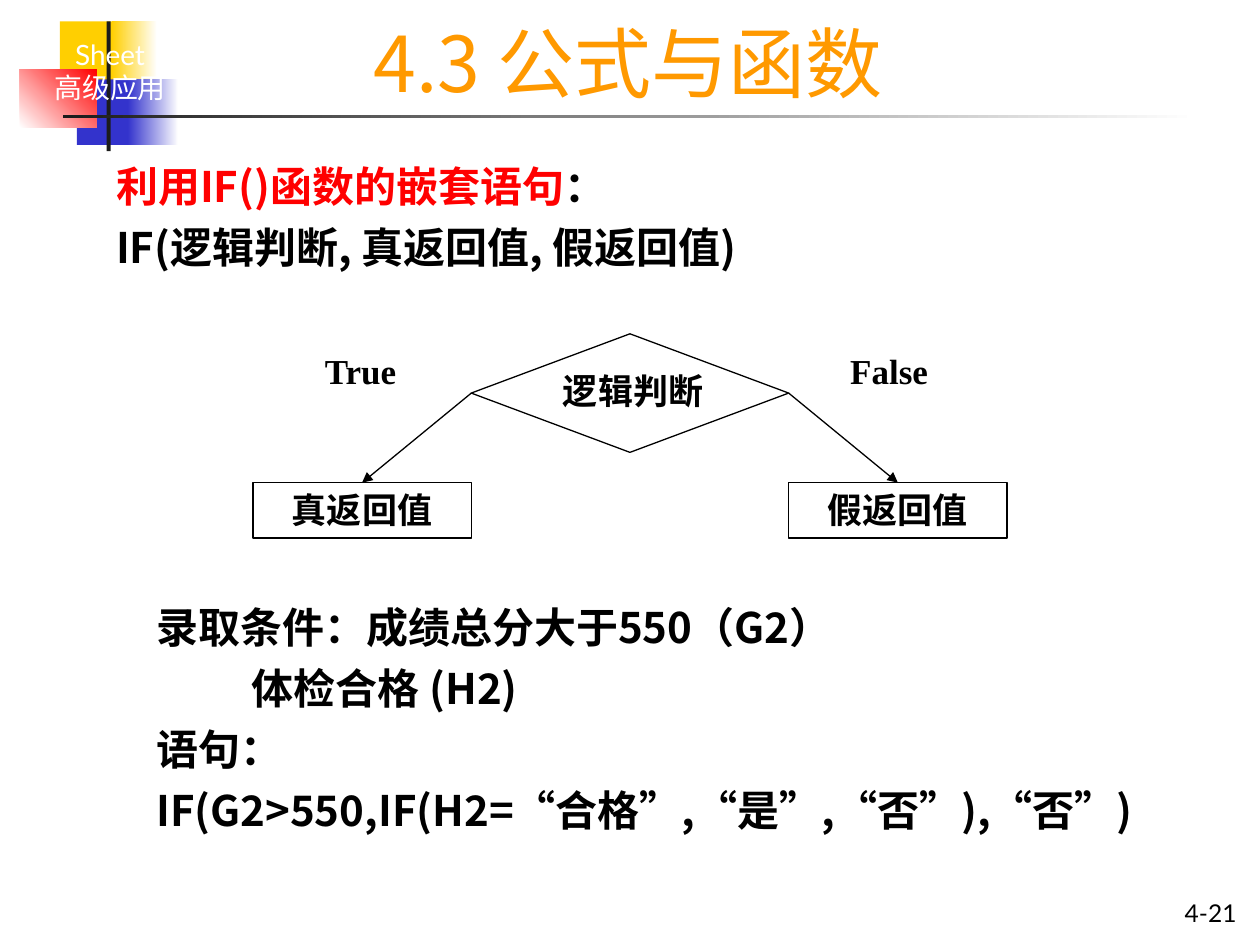
from lxml.etree import SubElement
from pptx import Presentation
from pptx.dml.color import RGBColor
from pptx.enum.shapes import MSO_CONNECTOR, MSO_SHAPE as Shape
from pptx.enum.text import MSO_ANCHOR as Anchor, MSO_AUTO_SIZE as AutoSize, PP_ALIGN as Align
from pptx.oxml.ns import qn
from pptx.util import Cm, Pt

BLACK = RGBColor(0x00, 0x00, 0x00)
WHITE = RGBColor(0xFF, 0xFF, 0xFF)
RED = RGBColor(0xFF, 0x00, 0x00)
YELLOW = RGBColor(0xFF, 0xCF, 0x01)
BLUE = RGBColor(0x33, 0x33, 0xCC)
ORANGE = RGBColor(0xFF, 0x99, 0x00)
CHARCOAL = RGBColor(0x1C, 0x1C, 0x1C)

LATIN = "Lato"
SERIF = "Times New Roman"
CHINESE = "Noto Sans CJK SC"

# Ornament bars: left, top, width, height (cm), start colour, end colour, angle
ORNAMENT = [
    (1.21, 0.43, 1.22, 1.32, YELLOW, None, 0),
    (2.25, 0.43, 0.92, 1.32, YELLOW, WHITE, 0),
    (1.55, 1.6, 1.17, 1.32, BLUE, None, 0),
    (2.58, 1.6, 1.02, 1.32, BLUE, WHITE, 0),
    (0.4, 1.4, 1.55, 1.17, WHITE, RED, 45),
    (2.15, 0.43, 0.08, 2.62, CHARCOAL, None, 0),
    (1.27, 2.31, 22.86, 0.08, CHARCOAL, WHITE, 0),
]


def write(shape, paragraphs, size=20, font=LATIN, color=BLACK, bold=False,
          align=Align.LEFT, anchor=Anchor.TOP, before=0, indents=()):
    """Fill a shape with paragraphs, each a string or a list of (text, colour) runs."""
    frame = shape.text_frame
    frame.word_wrap = True
    frame.auto_size = AutoSize.NONE
    frame.vertical_anchor = anchor
    for index, content in enumerate(paragraphs):
        paragraph = frame.paragraphs[0] if index == 0 else frame.add_paragraph()
        paragraph.alignment = align
        paragraph.space_before = Pt(before)
        if indents:
            paragraph._p.get_or_add_pPr().set("marL", str(Cm(indents[index])))
        runs = [(content, color)] if isinstance(content, str) else content
        for text, run_color in runs:
            run = paragraph.add_run()
            run.text = text
            run.font.size = Pt(size)
            run.font.name = font
            run.font.bold = bold
            run.font.color.rgb = run_color
            SubElement(run._r.get_or_add_rPr(), qn("a:ea")).set("typeface", CHINESE)


def add_text(slide, left, top, width, height, paragraphs, **text_format):
    box = slide.shapes.add_textbox(Cm(left), Cm(top), Cm(width), Cm(height))
    write(box, paragraphs, **text_format)


def add_bar(slide, left, top, width, height, start, end, angle):
    """Draw a borderless bar, plain or fading to the end colour."""
    bar = slide.shapes.add_shape(Shape.RECTANGLE, Cm(left), Cm(top), Cm(width), Cm(height))
    bar.shadow.inherit = False
    bar.line.fill.background()
    if end is None:
        bar.fill.solid()
        bar.fill.fore_color.rgb = start
        return
    bar.fill.gradient()
    bar.fill.gradient_angle = angle
    for stop, color in zip(bar.fill.gradient_stops, (start, end)):
        stop.color.rgb = color


def add_node(slide, kind, left, top, width, height):
    node = slide.shapes.add_shape(kind, Cm(left), Cm(top), Cm(width), Cm(height))
    node.shadow.inherit = False
    node.fill.background()
    node.line.color.rgb = BLACK
    node.line.width = Pt(0.75)
    return node


def add_arrow(slide, source, source_site, target):
    """Join a side of the source to the top of the target."""
    arrow = slide.shapes.add_connector(MSO_CONNECTOR.STRAIGHT, 0, 0, 0, 0)
    arrow.begin_connect(source, source_site)
    arrow.end_connect(target, 0)
    arrow.line.color.rgb = BLACK
    arrow.line.width = Pt(0.75)
    SubElement(arrow.line._get_or_add_ln(), qn("a:tailEnd")).set("type", "triangle")
    SubElement(arrow._element.spPr, qn("a:effectLst"))


def add_decision(slide):
    decision = add_node(slide, Shape.FLOWCHART_DECISION, 9.5, 6.73, 6.4, 2.39)
    add_text(slide, 11.1, 7.32, 3.81, 1.12, ["逻辑判断"], bold=True)
    branches = [
        (5.1, "真返回值", 1, 6.3, "True"),
        (15.9, "假返回值", 3, 16.89, "False"),
    ]
    for left, result, site, label_left, label in branches:
        box = add_node(slide, Shape.RECTANGLE, left, 9.73, 4.4, 1.12)
        write(box, [result], bold=True, align=Align.CENTER)
        add_arrow(slide, decision, site, box)
        add_text(slide, label_left, 6.93, 2.21, 1.12, [label], font=SERIF, bold=True)


def main():
    deck = Presentation()
    deck.slide_width, deck.slide_height = Cm(25.4), Cm(19.05)
    slide = deck.slides.add_slide(deck.slide_layouts[5])

    for bar in ORNAMENT:
        add_bar(slide, *bar)
    add_text(slide, 0.63, 0.63, 3.18, 1.63, ["Sheet", "高级应用"],
             size=16, color=WHITE, align=Align.CENTER)

    title = slide.shapes.title
    title.left, title.top, title.width, title.height = Cm(3.84), Cm(0.2), Cm(17.65), Cm(2.11)
    write(title, ["4.3 公式与函数"], size=44, font=CHINESE, color=ORANGE,
          align=Align.CENTER, anchor=Anchor.BOTTOM)

    body = dict(size=24, font=CHINESE, bold=True, before=6)
    add_text(slide, 1.3, 3.12, 22.4, 2.51,
             [[("利用IF()函数的嵌套语句", RED), ("：", BLACK)],
              "IF(逻辑判断, 真返回值, 假返回值)"],
             indents=(0.79, 0.79), **body)
    add_decision(slide)
    add_text(slide, 2.9, 12.01, 20.4, 4.95,
             ["录取条件：成绩总分大于550（G2）",
              "体检合格 (H2)",
              "语句：",
              "IF(G2>550,IF(H2=“合格”,“是”,“否”),“否”)"],
             indents=(0, 1.93, 0, 0), **body)

    add_text(slide, 21.9, 17.98, 3.28, 0.84, ["4-21"], size=14,
             align=Align.RIGHT, anchor=Anchor.BOTTOM)
    deck.save("out.pptx")


if __name__ == "__main__":
    main()
